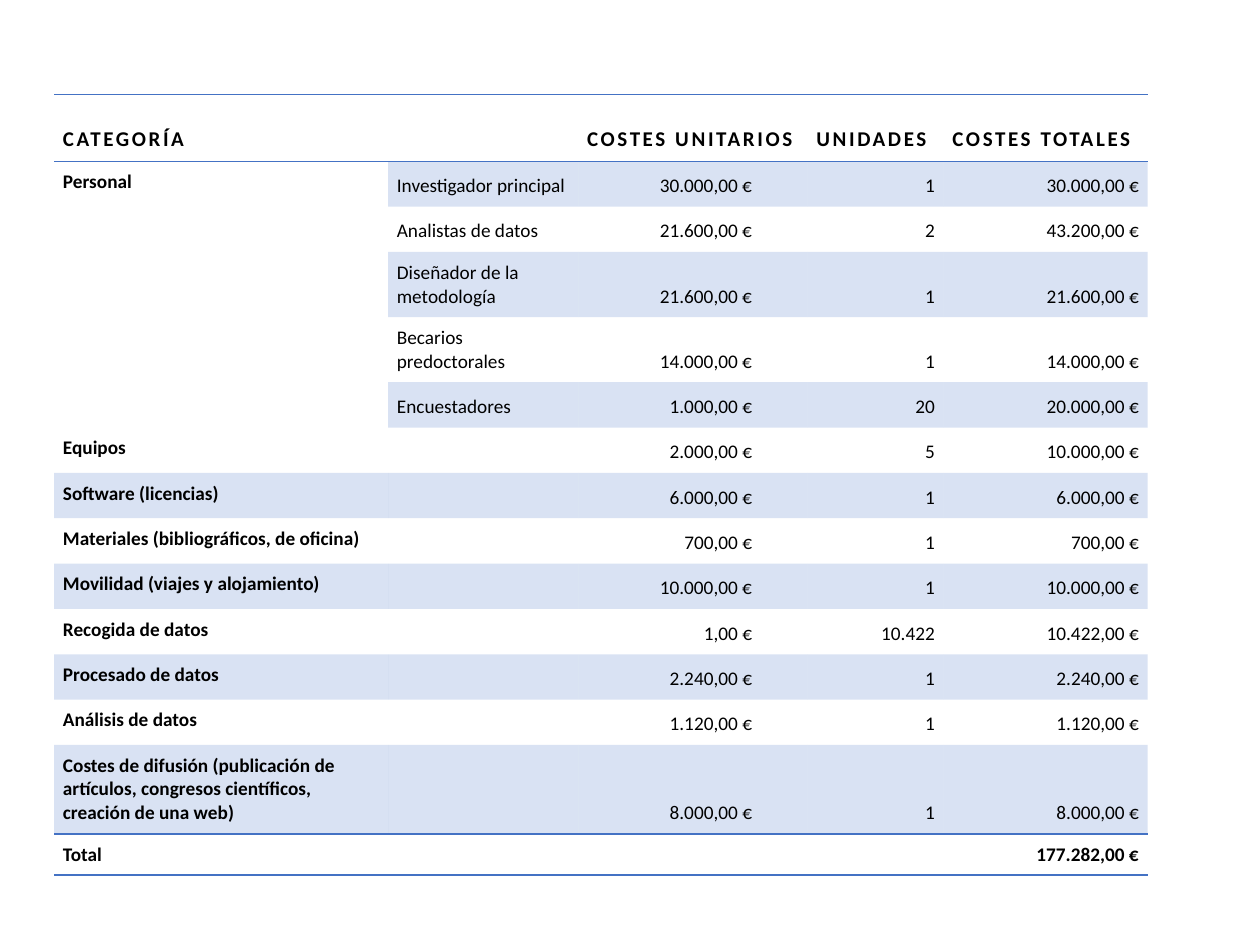
"""Build a one-page project budget table."""

from dataclasses import dataclass

import lxml.etree
import pptx
import pptx.dml.color
import pptx.enum.text
import pptx.oxml.ns
import pptx.util

Inches = pptx.util.Inches
Pt = pptx.util.Pt
Anchor = pptx.enum.text.MSO_ANCHOR
Align = pptx.enum.text.PP_ALIGN
qn = pptx.oxml.ns.qn


@dataclass(frozen=True)
class Theme:
    font: str = "Calibri"
    ink: str = "000000"
    accent: str = "4472C4"
    paper: str = "FFFFFF"
    tint: int = 20
    header_size: float = 12
    body_size: float = 11
    header_spacing: float = 1.5
    rule_width: float = 1
    inset: float = 0.07
    unit_cost_inset: float = 0.44
    table_style: str = "{2D5ABB26-0587-4C30-8999-92F81FD0307C}"


@dataclass(frozen=True)
class BudgetLine:
    category: str
    role: str
    unit_cost: str
    units: str
    total: str
    height: float = 0.36

    def texts(self) -> tuple[str, ...]:
        return self.category, self.role, self.unit_cost, self.units, self.total


THEME = Theme()
COLUMN_WIDTHS = (2.65, 1.51, 1.82, 1.08, 1.62)
STAFF_ROWS = 5
UNIT_COST_COLUMN = 2
HEADER = BudgetLine("CATEGORÍA", "", "COSTES UNITARIOS", "UNIDADES", "COSTES TOTALES", 0.53)
ITEMS = (
    BudgetLine("Personal", "Investigador principal", "30.000,00 €", "1", "30.000,00 €"),
    BudgetLine("", "Analistas de datos", "21.600,00 €", "2", "43.200,00 €"),
    BudgetLine("", "Diseñador de la metodología", "21.600,00 €", "1", "21.600,00 €"),
    BudgetLine("", "Becarios predoctorales", "14.000,00 €", "1", "14.000,00 €"),
    BudgetLine("", "Encuestadores", "1.000,00 €", "20", "20.000,00 €"),
    BudgetLine("Equipos", "", "2.000,00 €", "5", "10.000,00 €"),
    BudgetLine("Software (licencias)", "", "6.000,00 €", "1", "6.000,00 €"),
    BudgetLine("Materiales (bibliográficos, de oficina)", "", "700,00 €", "1", "700,00 €"),
    BudgetLine("Movilidad (viajes y alojamiento)", "", "10.000,00 €", "1", "10.000,00 €"),
    BudgetLine("Recogida de datos", "", "1,00 €", "10.422", "10.422,00 €"),
    BudgetLine("Procesado de datos", "", "2.240,00 €", "1", "2.240,00 €"),
    BudgetLine("Análisis de datos", "", "1.120,00 €", "1", "1.120,00 €"),
    BudgetLine(
        "Costes de difusión (publicación de artículos, congresos científicos, creación de una web)",
        "", "8.000,00 €", "1", "8.000,00 €", 0.46,
    ),
)
TOTAL = BudgetLine("Total", "", "", "", "177.282,00 €", 0.26)
LINES = (HEADER, *ITEMS, TOTAL)


def rule_cell(cell) -> None:
    properties = cell._tc.get_or_add_tcPr()
    for side in ("a:lnT", "a:lnB"):
        line = lxml.etree.SubElement(properties, qn(side), w=str(Pt(THEME.rule_width)))
        fill = lxml.etree.SubElement(line, qn("a:solidFill"))
        lxml.etree.SubElement(fill, qn("a:srgbClr"), val=THEME.accent)


def fill_cell(cell, colour: str) -> None:
    cell.fill.solid()
    cell.fill.fore_color.rgb = pptx.dml.color.RGBColor.from_string(colour)
    swatch = cell._tc.tcPr.find(qn("a:solidFill")).find(qn("a:srgbClr"))
    lxml.etree.SubElement(swatch, qn("a:alpha"), val=str(THEME.tint * 1000))


def write_cell(cell, text: str, size: float, bold: bool, spacing: float, align) -> None:
    cell.text_frame.text = text
    para = cell.text_frame.paragraphs[0]
    para.alignment = align
    for span in para.runs:
        span.font.name = THEME.font
        span.font.size = Pt(size)
        span.font.bold = bold
        span.font.color.rgb = pptx.dml.color.RGBColor.from_string(THEME.ink)
        span.font._element.set("spc", str(round(spacing * 100)))
    if not text:
        lxml.etree.SubElement(para._p, qn("a:endParaRPr"), sz=str(round(size * 100)))


def format_cell(cell, text: str, row: int, column: int) -> None:
    is_header = row == 0
    is_total = row == len(LINES) - 1
    is_staff = column == 0 and 1 <= row <= STAFF_ROWS
    indented = column == UNIT_COST_COLUMN and not is_header
    cell.margin_left = cell.margin_top = cell.margin_bottom = Inches(THEME.inset)
    cell.margin_right = Inches(THEME.unit_cost_inset if indented else THEME.inset)
    cell.vertical_anchor = Anchor.TOP if column == 0 and not is_header else Anchor.BOTTOM
    if is_header or is_total:
        rule_cell(cell)
    if is_staff:
        fill_cell(cell, THEME.paper)
    elif row % 2 and not is_total:
        fill_cell(cell, THEME.accent)
    else:
        cell.fill.background()
    write_cell(
        cell,
        text,
        size=THEME.header_size if is_header else THEME.body_size,
        bold=is_header or is_total or column == 0,
        spacing=THEME.header_spacing if is_header else 0,
        align=Align.LEFT if is_header or column < UNIT_COST_COLUMN else Align.RIGHT,
    )


def draw_budget(page) -> None:
    frame = page.shapes.add_table(
        len(LINES), len(COLUMN_WIDTHS), Inches(0.43), Inches(0.75),
        Inches(sum(COLUMN_WIDTHS)), Inches(sum(line.height for line in LINES)),
    )
    table = frame.table
    table.first_row = table.horz_banding = False
    table._tbl.tblPr.find(qn("a:tableStyleId")).text = THEME.table_style
    for column, width in zip(table.columns, COLUMN_WIDTHS):
        column.width = Inches(width)
    for row, line in enumerate(LINES):
        table.rows[row].height = Inches(line.height)
        for column, text in enumerate(line.texts()):
            format_cell(table.cell(row, column), text, row, column)
    table.cell(1, 0).merge(table.cell(STAFF_ROWS, 0))


def main() -> None:
    deck = pptx.Presentation()
    deck.slide_width, deck.slide_height = Inches(10), Inches(7.5)
    draw_budget(deck.slides.add_slide(deck.slide_layouts[6]))
    deck.save("out.pptx")


if __name__ == "__main__":
    main()
